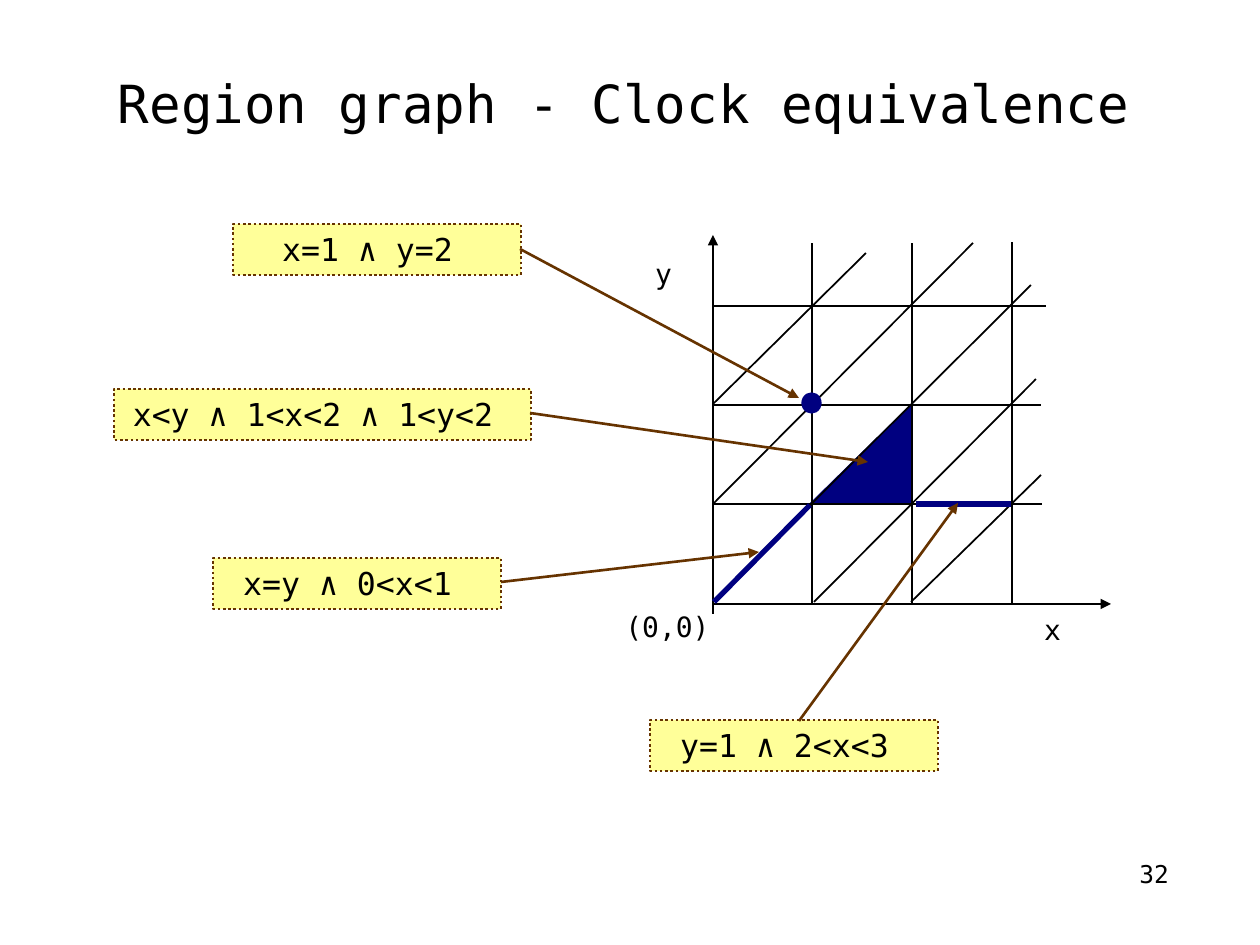
from lxml import etree
from pptx import Presentation
from pptx import util as u
from pptx.dml.color import RGBColor
from pptx.enum import dml, shapes, text
from pptx.oxml.ns import qn

FONT = "DejaVu Sans Mono"
BLACK, NAVY, BROWN, YELLOW = "000000", "000080", "663300", "FFFF99"
ORIGIN_X, ORIGIN_Y, CELL = 713, 604, 99.5
INSET_X, INSET_Y = 13, 6

# Lines of equal x - y: start and end
DIAGONALS = [
    (713, 602, 1031, 285),
    (713, 504, 973, 243),
    (814, 602, 1036, 379),
    (911, 602, 1041, 475),
    (713, 404, 866, 253),
]
# Constraint, box left, top, width, then pointer start and end
REGIONS = [
    ("x=y ∧ 0<x<1 ", 213, 558, 288, (501, 582, 759, 552)),
    ("x=1 ∧ y=2 ", 233, 224, 288, (520, 249, 799, 398)),
    ("y=1 ∧ 2<x<3 ", 650, 720, 288, (799, 721, 958, 503)),
    ("x<y ∧ 1<x<2 ∧ 1<y<2 ", 114, 389, 417, (530, 413, 868, 462)),
]


def px(length):
    return u.Emu(round(length * 914400 / 126))


def colour(code):
    return RGBColor.from_string(code)


def grid_x(step):
    return round(ORIGIN_X + CELL * step)


def grid_y(step):
    return round(ORIGIN_Y - CELL * step)


def write(box, words, size, align, inset=(0, 0), spacing=None, **frame_format):
    frame = box.text_frame
    inset_x, inset_y = map(px, inset)
    frame_format = {
        "word_wrap": True, "margin_left": inset_x, "margin_right": inset_x,
        "margin_top": inset_y, "margin_bottom": inset_y, **frame_format,
    }
    for name, value in frame_format.items():
        setattr(frame, name, value)
    para = frame.paragraphs[0]
    para.alignment = align
    if spacing:
        para.line_spacing = spacing
    span = para.add_run()
    span.text = words
    for name, value in {"name": FONT, "size": u.Pt(size), "bold": False}.items():
        setattr(span.font, name, value)
    span.font.color.rgb = colour(BLACK)


def add_text(page, words, left, top, width, height, size, align, **options):
    box = page.shapes.add_textbox(px(left), px(top), px(width), px(height))
    write(box, words, size, align, **options)


def add_line(page, ends, line_colour=BLACK, weight=0.75, arrow=False):
    line = page.shapes.add_connector(shapes.MSO_CONNECTOR.STRAIGHT, *map(px, ends))
    line.line.color.rgb = colour(line_colour)
    line.line.width = u.Pt(weight)
    if arrow:
        etree.SubElement(line.line._get_or_add_ln(), qn("a:tailEnd"), type="triangle")
    etree.SubElement(line._element.spPr, qn("a:effectLst"))


def add_shape(page, kind, left, top, width, height, fill, outline=None, weight=0.75):
    shape = page.shapes.add_shape(kind, px(left), px(top), px(width), px(height))
    shape.shadow.inherit = False
    shape.fill.solid()
    shape.fill.fore_color.rgb = colour(fill)
    if outline:
        shape.line.color.rgb = colour(outline)
        shape.line.width = u.Pt(weight)
    else:
        shape.line.fill.background()
    return shape


def add_region_label(page, words, left, top, width):
    label = add_shape(page, shapes.MSO_SHAPE.RECTANGLE, left, top, width, 51,
                      YELLOW, BROWN, 1.5)
    label.line.dash_style = dml.MSO_LINE.ROUND_DOT
    write(label, words, 18, text.PP_ALIGN.CENTER, inset=(INSET_X, INSET_Y),
          vertical_anchor=text.MSO_ANCHOR.TOP,
          auto_size=text.MSO_AUTO_SIZE.SHAPE_TO_FIT_TEXT)


def add_grid(page):
    # Axes
    add_line(page, (ORIGIN_X, 614, ORIGIN_X, 235), arrow=True)
    add_line(page, (ORIGIN_X, ORIGIN_Y, grid_x(4), ORIGIN_Y), arrow=True)
    # Integer values of each clock
    for step, (right, top) in enumerate([(1042, 243), (1041, 243), (1046, 242)], 1):
        add_line(page, (ORIGIN_X, grid_y(step), right, grid_y(step)))
        add_line(page, (grid_x(step), ORIGIN_Y, grid_x(step), top))
    # Axis names
    for words, left, top, width in [("(0,0)", 593, 604, 149), ("x", 1008, 607, 89),
                                    ("y", 619, 251, 89)]:
        add_text(page, words, left, top, width, 47, 16, text.PP_ALIGN.CENTER,
                 inset=(INSET_X, INSET_Y),
                 auto_size=text.MSO_AUTO_SIZE.SHAPE_TO_FIT_TEXT)
    for ends in DIAGONALS:
        add_line(page, ends, weight=1)


def main():
    deck = Presentation()
    deck.slide_width, deck.slide_height = px(1260), px(945)
    page = deck.slides.add_slide(deck.slide_layouts[5])

    # Title
    title = page.shapes.title
    title.left, title.top, title.width, title.height = map(px, (86, 47, 1075, 108))
    write(title, "Region graph - Clock equivalence", 30, text.PP_ALIGN.CENTER,
          spacing=1.04, vertical_anchor=text.MSO_ANCHOR.MIDDLE)

    # Open triangle under the grid, then the point and the two segments
    triangle = add_shape(page, shapes.MSO_SHAPE.RIGHT_TRIANGLE, 810, 402, 101, 103, NAVY)
    triangle.rotation = 270
    add_grid(page)
    add_shape(page, shapes.MSO_SHAPE.OVAL, 802, 393, 19, 20, NAVY, NAVY)
    add_line(page, (916, 504, 1011, 504), NAVY, 3)
    add_line(page, (714, 602, 810, 505), NAVY, 3)

    # Constraints and their pointers
    for words, left, top, width, _ in REGIONS:
        add_region_label(page, words, left, top, width)
    for *_, ends in REGIONS:
        add_line(page, ends, BROWN, 1.5, arrow=True)

    # Page number
    add_text(page, "32", 966, 861, 203, 66, 14, text.PP_ALIGN.RIGHT, spacing=0.96)
    deck.save("out.pptx")


if __name__ == "__main__":
    main()
